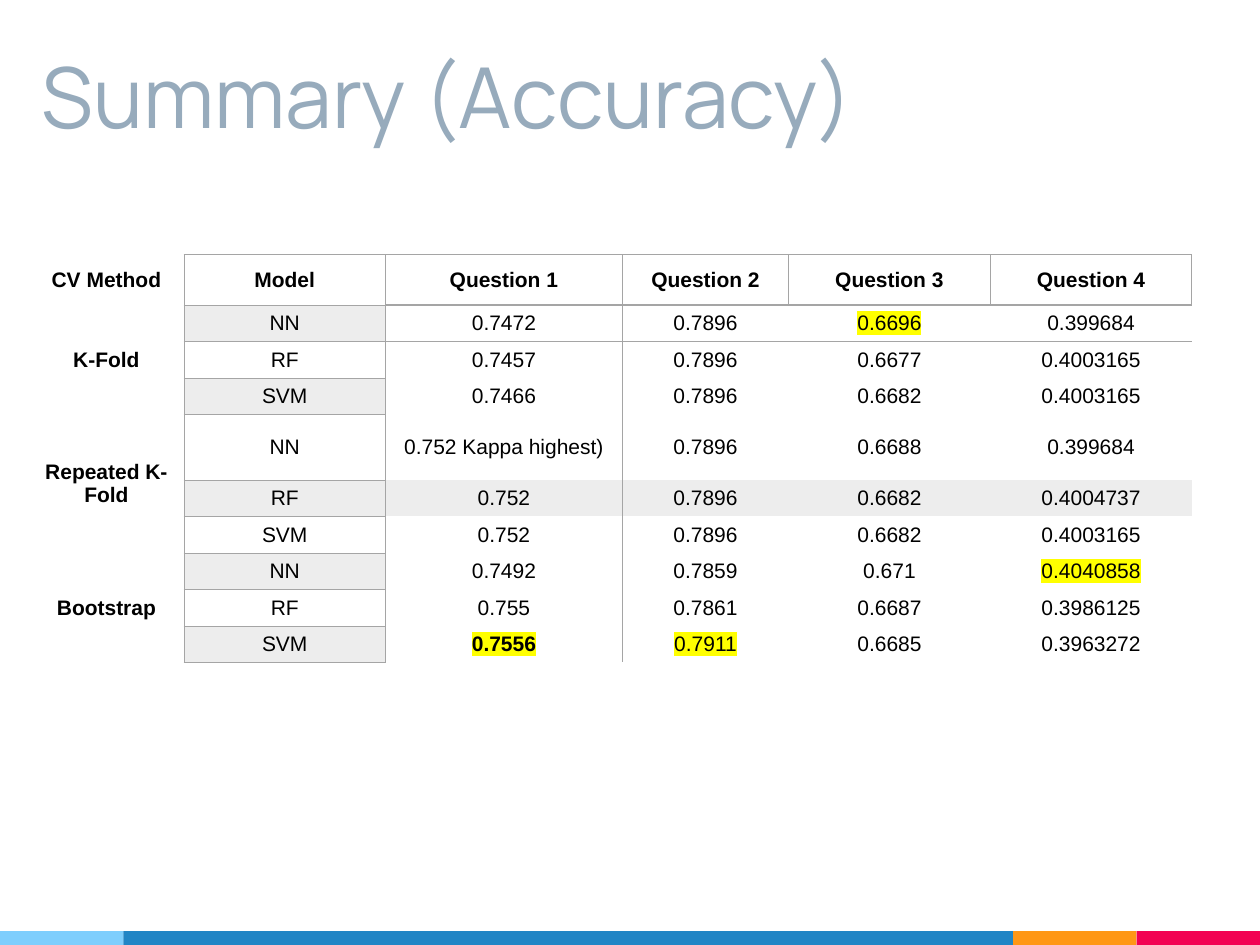
from dataclasses import dataclass

from lxml.etree import SubElement
from pptx import Presentation
from pptx.dml.color import RGBColor
from pptx.enum.shapes import MSO_SHAPE
from pptx.enum.text import MSO_ANCHOR, MSO_AUTO_SIZE, PP_ALIGN
from pptx.oxml.ns import qn
from pptx.util import Inches, Pt


@dataclass(frozen=True)
class Theme:
    title_font: str = "Manrope"
    body_font: str = "Arial"
    title_size: int = 48
    body_size: int = 12
    title: str = "97ABBC"
    text: str = "000000"
    grid: str = "A5A5A5"
    band: str = "EDEDED"
    highlight: str = "FFFF00"
    stripe: tuple = ("7ECEFD", "2185C5", "FF9715", "F20253")


THEME = Theme()
NO_STYLE_NO_GRID = "{2D5ABB26-0587-4C30-8999-92F81FD0307C}"

HEADER = ["CV Method", "Model", "Question 1", "Question 2", "Question 3", "Question 4"]
METHODS = ["K-Fold", "Repeated K-Fold", "Bootstrap"]
MODELS = ["NN", "RF", "SVM"]
ACCURACY = [
    ["0.7472", "0.7896", "0.6696", "0.399684"],
    ["0.7457", "0.7896", "0.6677", "0.4003165"],
    ["0.7466", "0.7896", "0.6682", "0.4003165"],
    ["0.752 Kappa highest)", "0.7896", "0.6688", "0.399684"],
    ["0.752", "0.7896", "0.6682", "0.4004737"],
    ["0.752", "0.7896", "0.6682", "0.4003165"],
    ["0.7492", "0.7859", "0.671", "0.4040858"],
    ["0.755", "0.7861", "0.6687", "0.3986125"],
    ["0.7556", "0.7911", "0.6685", "0.3963272"],
]
BEST = {"0.7556", "0.7911", "0.6696", "0.4040858"}
BEST_BOLD = "0.7556"
BANDED_ROW = 5
COL_WIDTHS = [1.23, 1.6, 1.88, 1.32, 1.6, 1.6]
ROW_HEIGHTS = [0.4] + [0.29] * 3 + [0.52] + [0.29] * 5


def rgb(color):
    return RGBColor.from_string(color)


def style_font(font, name, size, color, bold=False):
    font.name, font.size, font.bold = name, Pt(size), bold
    font.color.rgb = rgb(color)


def add_title(s, text, left, top, width, height):
    sp = s.shapes.title
    sp.left, sp.top, sp.width, sp.height = map(Inches, (left, top, width, height))
    tf = sp.text_frame
    tf.text = text
    tf.word_wrap = True
    tf.auto_size = MSO_AUTO_SIZE.NONE
    tf.vertical_anchor = MSO_ANCHOR.BOTTOM
    tf.margin_left = tf.margin_right = tf.margin_top = tf.margin_bottom = Inches(0.1)
    p = tf.paragraphs[0]
    p.alignment = PP_ALIGN.LEFT
    style_font(p.font, THEME.title_font, THEME.title_size, THEME.title)


def add_stripe(s, left, top, width, height):
    end = 0.98
    widths = [end, width - 3 * end, end, end]
    for color, w in zip(THEME.stripe, widths):
        sp = s.shapes.add_shape(MSO_SHAPE.RECTANGLE, *map(Inches, (left, top, w, height)))
        sp.shadow.inherit = False
        sp.fill.solid()
        sp.fill.fore_color.rgb = rgb(color)
        sp.line.fill.background()
        left += w


def set_borders(cell, widths):
    """Draw the sides given as {"L": points}, in the order L, R, T, B."""
    tc_pr = cell._tc.get_or_add_tcPr()
    for side in "LRTB":
        if side in widths:
            ln = SubElement(tc_pr, qn(f"a:ln{side}"), w=str(Pt(widths[side])))
            fill = SubElement(ln, qn("a:solidFill"))
            SubElement(fill, qn("a:srgbClr"), val=THEME.grid)


def borders_for(row, col):
    if col == 0:
        return {"R": 0.5}
    if col == 1:
        return dict.fromkeys("LRTB", 0.5)
    if row == 0:
        return {"L": 0.5, "R": 0.5, "T": 0.5, "B": 1}
    sides = {"L": 0.5} if col == 2 else {}
    return sides | {"T": 1} if row == 1 else sides


def fill_cell(cell, text, bold, banded):
    cell.vertical_anchor = MSO_ANCHOR.MIDDLE
    cell.margin_left = cell.margin_right = Inches(0.08)
    cell.margin_top = cell.margin_bottom = Inches(0.04)
    if banded:
        cell.fill.solid()
        cell.fill.fore_color.rgb = rgb(THEME.band)
    else:
        cell.fill.background()
    p = cell.text_frame.paragraphs[0]
    p.alignment = PP_ALIGN.CENTER
    style_font(p.font, THEME.body_font, THEME.body_size, THEME.text, bold)
    if text:
        r = p.add_run()
        r.text = text
        if text in BEST:
            mark = SubElement(r._r.get_or_add_rPr(), qn("a:highlight"))
            SubElement(mark, qn("a:srgbClr"), val=THEME.highlight)


def add_accuracy_table(s, left, top, width, height):
    n = len(MODELS)
    rows = [HEADER]
    for i, values in enumerate(ACCURACY):
        method = METHODS[i // n] if i % n == 0 else ""
        rows.append([method, MODELS[i % n], *values])

    box = map(Inches, (left, top, width, height))
    table = s.shapes.add_table(len(rows), len(HEADER), *box).table
    table._tbl.tblPr.find(qn("a:tableStyleId")).text = NO_STYLE_NO_GRID
    table.first_row = table.horz_banding = False
    for column, w in zip(table.columns, COL_WIDTHS):
        column.width = Inches(w)
    for row, h in zip(table.rows, ROW_HEIGHTS):
        row.height = Inches(h)

    for i, row in enumerate(rows):
        for j, text in enumerate(row):
            cell = table.cell(i, j)
            set_borders(cell, borders_for(i, j))
            bold = i == 0 or j == 0 or text == BEST_BOLD
            banded = (j == 1 and i % 2 == 1) or (j > 1 and i == BANDED_ROW)
            fill_cell(cell, text, bold, banded)
    for first in range(1, len(rows), n):
        table.cell(first, 0).merge(table.cell(first + n - 1, 0))


def main():
    prs = Presentation()
    prs.slide_width, prs.slide_height = Inches(10), Inches(7.5)
    s = prs.slides.add_slide(prs.slide_layouts[5])
    add_stripe(s, 0, 7.39, 10, 0.11)
    add_title(s, "Summary (Accuracy)", 0.23, 0, 9.23, 1.25)
    add_accuracy_table(s, 0.23, 2.02, sum(COL_WIDTHS), sum(ROW_HEIGHTS))
    prs.save("out.pptx")


if __name__ == "__main__":
    main()
